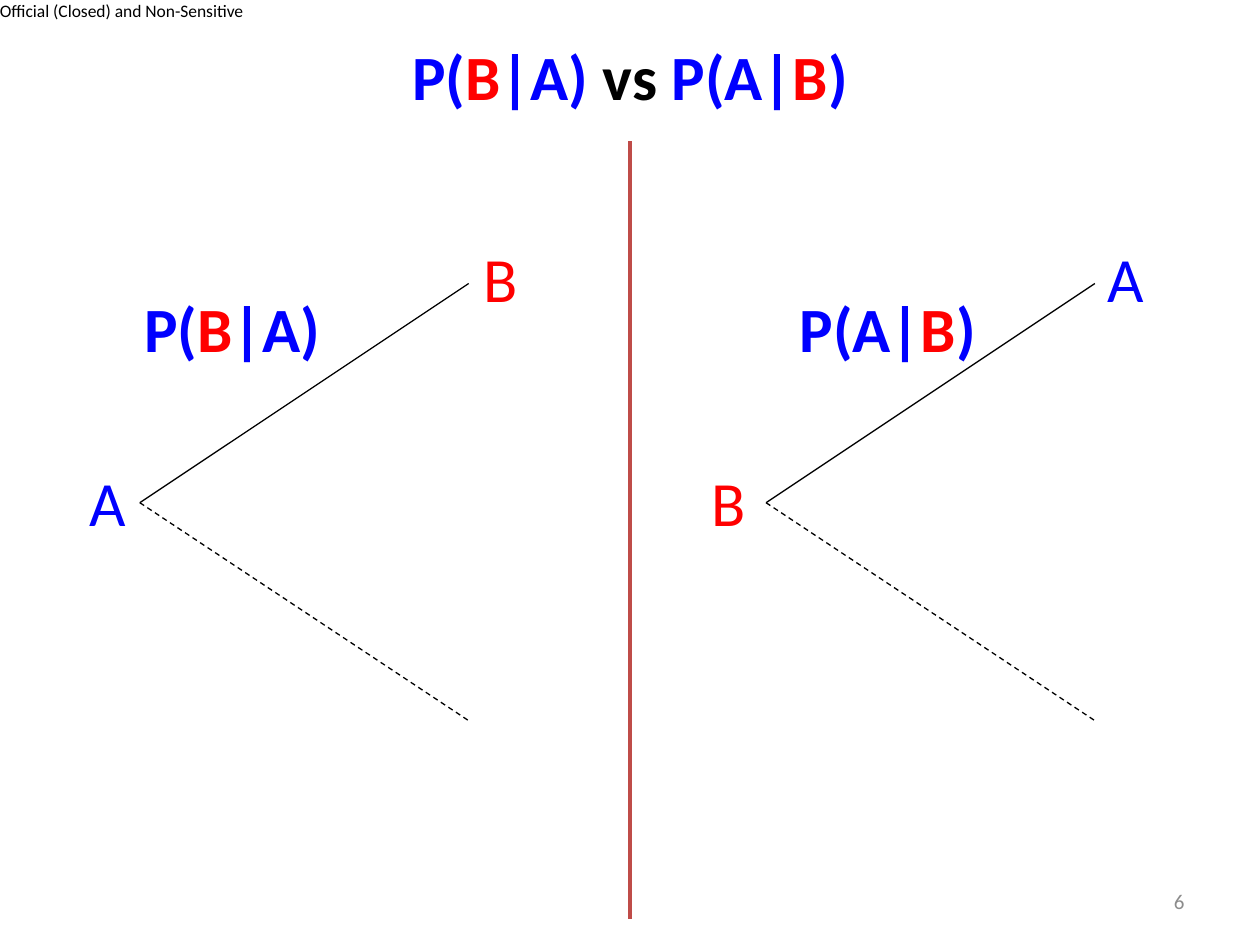
from pptx import Presentation, util as u
from pptx.dml.color import RGBColor
from pptx.enum import dml, shapes, text
from pptx.oxml.ns import qn
from lxml import etree

BLUE, RED, BLACK = "0000FF", "FF0000", "000000"
P_B_GIVEN_A = [("P(", BLUE), ("B", RED), ("|A)", BLUE)]
P_A_GIVEN_B = [("P(A|", BLUE), ("B", RED), (")", BLUE)]
MIDDLE = text.MSO_ANCHOR.MIDDLE
CENTER = text.PP_ALIGN.CENTER


def colour(value):
    return RGBColor.from_string(value)


def write_spans(frame, spans, size=36, bold=False, align=text.PP_ALIGN.LEFT):
    para = frame.paragraphs[0]
    para.alignment = align
    for words, shade in spans:
        span = para.add_run()
        span.text = words
        span.font.name = "Calibri"
        span.font.size = u.Pt(size)
        span.font.bold = bold
        span.font.color.rgb = colour(shade)


def add_label(page, place, spans, anchor=text.MSO_ANCHOR.TOP, wrap=True, **style):
    box = page.shapes.add_textbox(*map(u.Inches, place))
    box.text_frame.word_wrap = wrap
    box.text_frame.vertical_anchor = anchor
    write_spans(box.text_frame, spans, **style)
    return box


def add_line(page, start, end, shade=BLACK, width=0.75, dashed=False):
    line = page.shapes.add_connector(
        shapes.MSO_CONNECTOR.STRAIGHT, *map(u.Inches, start + end))
    line.line.color.rgb = colour(shade)
    line.line.width = u.Pt(width)
    if dashed:
        line.line.dash_style = dml.MSO_LINE.DASH
    etree.SubElement(line._element.spPr, qn("a:effectLst"))


def add_title(page):
    title = page.shapes.title
    title.left, title.top, title.width, title.height = map(
        u.Inches, (0.5, 0.07, 9, 1.05))
    title.text_frame.vertical_anchor = MIDDLE
    spans = P_B_GIVEN_A + [(" ", BLUE), ("vs", BLACK), (" ", BLUE)] + P_A_GIVEN_B
    write_spans(title.text_frame, spans, bold=True, align=CENTER)


def add_tree(page, root_x, root, root_left, leaf, leaf_left, formula, formula_left):
    fork = (root_x, 3.99)
    add_line(page, fork, (root_x + 2.61, 2.25))
    add_line(page, fork, (root_x + 2.61, 5.72), dashed=True)
    add_label(page, (root_left, 3.63, 0.49, 0.71), [root], wrap=False)
    add_label(page, (leaf_left, 1.85, 0.49, 0.71), [leaf], wrap=False)
    add_label(page, (formula_left, 2.07, 1.81, 1.05), formula,
              anchor=MIDDLE, bold=True, align=CENTER)


def main():
    deck = Presentation()
    deck.slide_width, deck.slide_height = u.Inches(10), u.Inches(7.5)
    page = deck.slides.add_slide(deck.slide_layouts[5])

    marking = add_label(page, (0, 0, 1.97, 0.17),
                        [("Official (Closed) and Non-Sensitive", BLACK)],
                        wrap=False, size=10)
    frame = marking.text_frame
    frame.margin_left = frame.margin_top = frame.margin_right = frame.margin_bottom = 0

    add_title(page)
    add_label(page, (7.17, 6.95, 2.33, 0.4), [("6", "8C8C8C")],
              anchor=MIDDLE, size=12, align=text.PP_ALIGN.RIGHT)
    add_line(page, (5, 1.12), (5, 7.29), "BF4C48", 2)
    event_a, event_b = ("A", BLUE), ("B", RED)
    add_tree(page, 1.11, event_a, 0.61, event_b, 3.74, P_B_GIVEN_A, 0.94)
    add_tree(page, 6.08, event_b, 5.55, event_a, 8.69, P_A_GIVEN_B, 6.14)
    deck.save("out.pptx")


if __name__ == "__main__":
    main()
